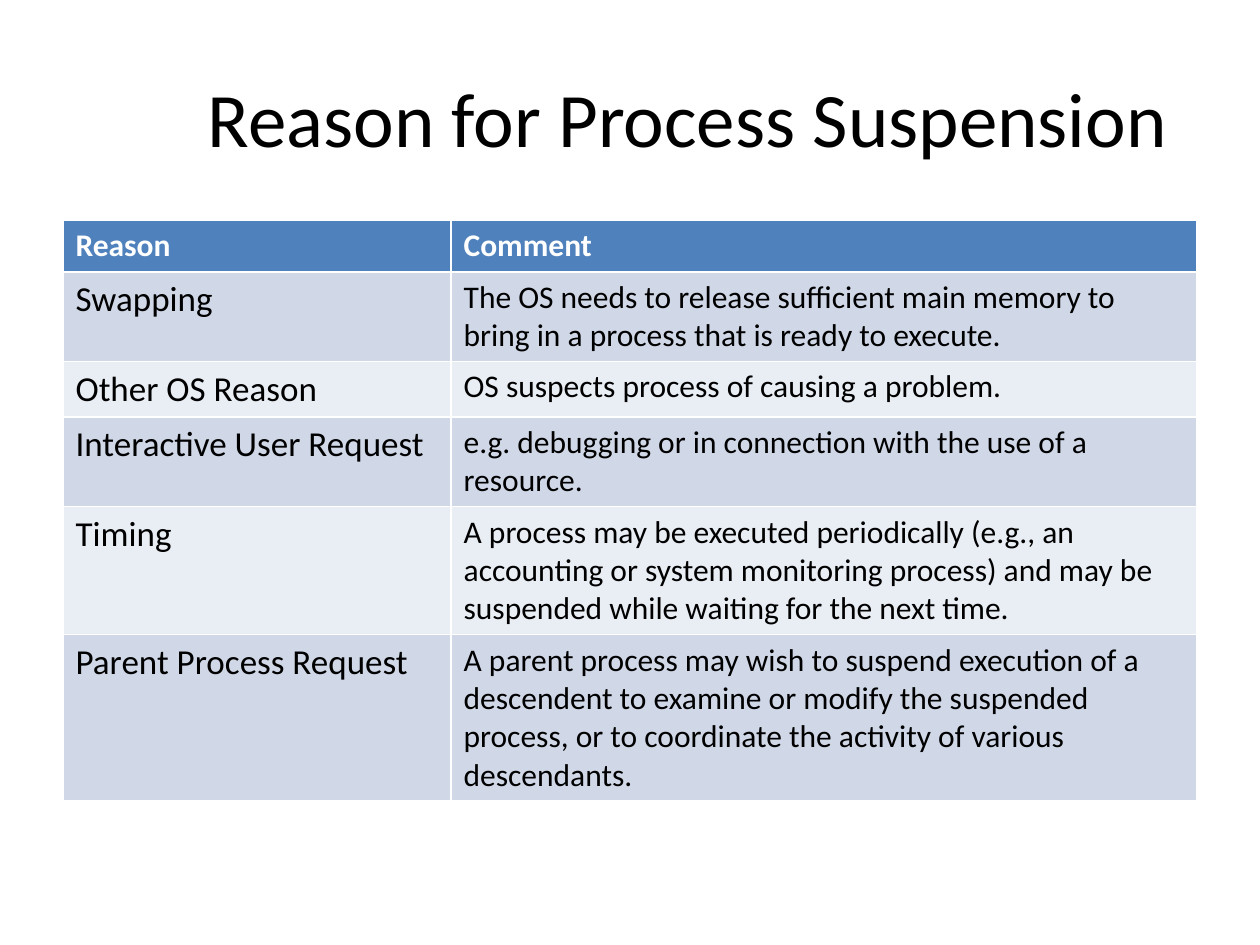
"""Build a slide with a table of reasons for process suspension."""
from dataclasses import dataclass

from pptx import Presentation
from pptx.dml.color import RGBColor
from pptx.enum.text import MSO_ANCHOR, PP_ALIGN
from pptx.util import Inches, Pt

FONT = "Calibri"
BLACK = RGBColor(0x00, 0x00, 0x00)
WHITE = RGBColor(0xFF, 0xFF, 0xFF)
HEADER_BLUE = RGBColor(0x4F, 0x81, 0xBD)
BAND_COLORS = (RGBColor(0xD0, 0xD8, 0xE8), RGBColor(0xE9, 0xED, 0xF4))
COLUMN_WIDTHS = (3.08, 5.92)


@dataclass(frozen=True)
class TableRow:
    reason: str
    comment: str
    height: float


HEADER = TableRow("Reason", "Comment", 0.41)
REASONS = (
    TableRow("Swapping", "The OS needs to release sufficient main memory to "
             "bring in a process that is ready to execute.", 0.7),
    TableRow("Other OS Reason", "OS suspects process of causing a problem.", 0.43),
    TableRow("Interactive User Request", "e.g. debugging or in connection with "
             "the use of a resource.", 0.7),
    TableRow("Timing", "A process may be executed periodically (e.g., an "
             "accounting or system monitoring process) and may be suspended "
             "while waiting for the next time.", 1.0),
    TableRow("Parent Process Request", "A parent process may wish to suspend "
             "execution of a descendent to examine or modify the suspended "
             "process, or to coordinate the activity of various descendants.", 1.3),
)


def format_runs(text_frame, size: int, color: RGBColor, bold: bool = False) -> None:
    for paragraph in text_frame.paragraphs:
        for run in paragraph.runs:
            run.font.name = FONT
            run.font.size = Pt(size)
            run.font.bold = bold
            run.font.color.rgb = color


def fill_cell(cell, text: str, size: int, color: RGBColor,
              fill: RGBColor, bold: bool = False) -> None:
    cell.fill.solid()
    cell.fill.fore_color.rgb = fill
    cell.text_frame.text = text
    format_runs(cell.text_frame, size, color, bold)


def add_title(slide, text: str) -> None:
    title = slide.shapes.title
    title.left, title.top = Inches(1.42), Inches(0.3)
    title.width, title.height = Inches(8.08), Inches(1.25)
    title.text_frame.text = text
    title.text_frame.vertical_anchor = MSO_ANCHOR.MIDDLE
    title.text_frame.paragraphs[0].alignment = PP_ALIGN.CENTER
    format_runs(title.text_frame, 44, BLACK)


def add_reason_table(slide) -> None:
    rows = (HEADER, *REASONS)
    table = slide.shapes.add_table(
        len(rows), len(COLUMN_WIDTHS), Inches(0.5), Inches(1.75),
        Inches(sum(COLUMN_WIDTHS)), Inches(sum(row.height for row in rows))).table
    for column, width in zip(table.columns, COLUMN_WIDTHS):
        column.width = Inches(width)
    for table_row, row in zip(table.rows, rows):
        table_row.height = Inches(row.height)
    for column, text in enumerate((HEADER.reason, HEADER.comment)):
        fill_cell(table.cell(0, column), text, 18, WHITE, HEADER_BLUE, bold=True)
    for index, row in enumerate(REASONS):
        band = BAND_COLORS[index % 2]
        fill_cell(table.cell(index + 1, 0), row.reason, 20, BLACK, band)
        fill_cell(table.cell(index + 1, 1), row.comment, 18, BLACK, band)


def main() -> None:
    presentation = Presentation()
    presentation.slide_width, presentation.slide_height = Inches(10), Inches(7.5)
    slide = presentation.slides.add_slide(presentation.slide_layouts[5])
    add_title(slide, "Reason for Process Suspension")
    add_reason_table(slide)
    presentation.save("out.pptx")


if __name__ == "__main__":
    main()
